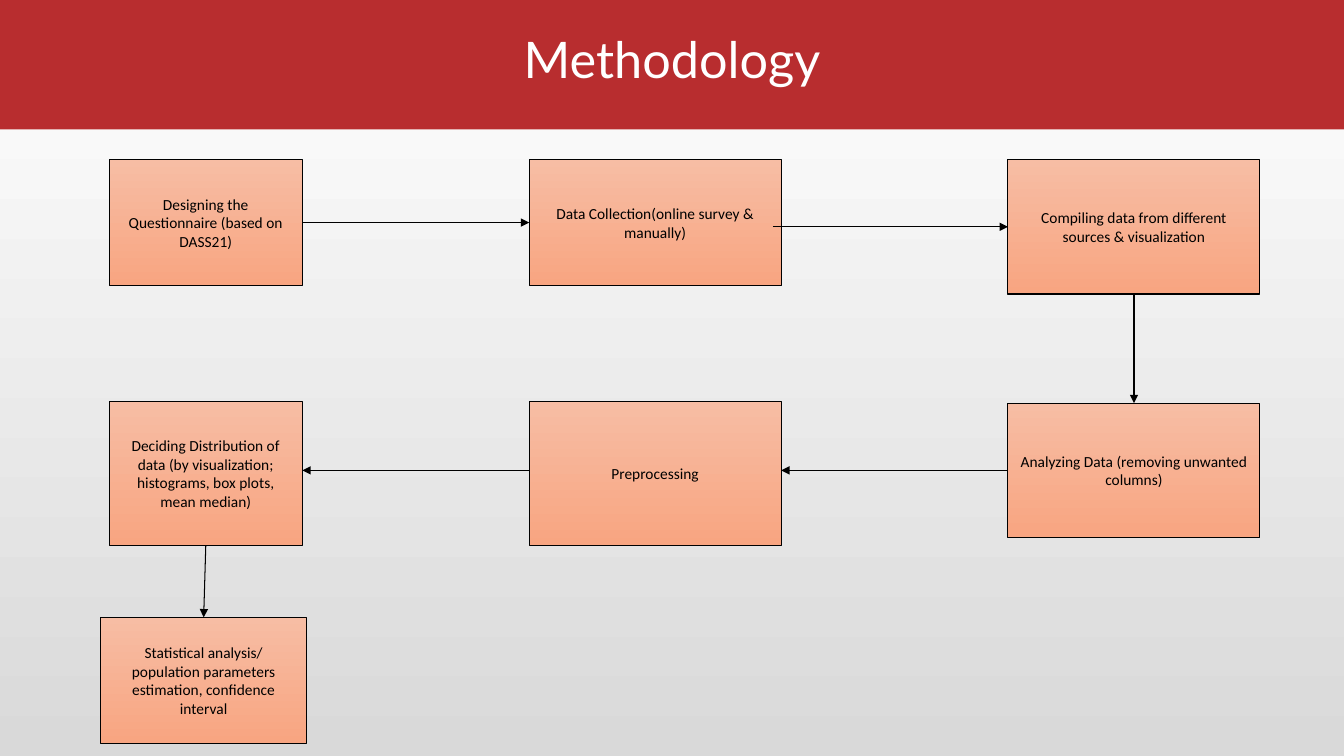
from dataclasses import dataclass

import lxml.etree
import pptx
import pptx.dml.color
import pptx.dml.fill
import pptx.enum.shapes
import pptx.enum.text
import pptx.oxml.ns
import pptx.slide
import pptx.text.text
import pptx.util

Pt = pptx.util.Pt
RGBColor = pptx.dml.color.RGBColor

BLACK = RGBColor(0x00, 0x00, 0x00)
WHITE = RGBColor(0xFF, 0xFF, 0xFF)
RED = RGBColor(0xB8, 0x2D, 0x2F)
GREY = RGBColor(0xD9, 0xD9, 0xD9)
PEACH = RGBColor(0xF7, 0xBD, 0xA4)
ORANGE = RGBColor(0xF8, 0xA5, 0x81)

LEFT, CENTRE, RIGHT = 78, 378, 720
NARROW, WIDE = 138, 180
TOP, MIDDLE, BOTTOM = 114, 286.5, 441


@dataclass
class Step:
    text: str
    left: float
    top: float
    width: float
    height: float


@dataclass
class Arrow:
    start_x: float
    start_y: float
    end_x: float
    end_y: float


STEPS = [
    Step("Designing the Questionnaire (based on DASS21)", LEFT, TOP, NARROW, 90),
    Step("Data Collection(online survey & manually)", CENTRE, TOP, WIDE, 90),
    Step("Compiling data from different sources & visualization", RIGHT, TOP, WIDE, 96),
    Step("Analyzing Data (removing unwanted columns)", RIGHT, 288, WIDE, 96),
    Step("Preprocessing", CENTRE, MIDDLE, WIDE, 103.5),
    Step("Deciding Distribution of data (by visualization; histograms, box plots, mean median)",
         LEFT, MIDDLE, NARROW, 103.5),
    Step("Statistical analysis/ population parameters estimation, confidence interval",
         72, BOTTOM, 147, 90),
]

ARROWS = [
    Arrow(LEFT + NARROW, 159, CENTRE, 159),
    Arrow(552, 162, RIGHT, 162),
    Arrow(RIGHT + WIDE / 2, TOP + 96, RIGHT + WIDE / 2, 288),
    Arrow(RIGHT, 336, CENTRE + WIDE, 336),
    Arrow(CENTRE, 336, LEFT + NARROW, 336),
    Arrow(LEFT + NARROW / 2, MIDDLE + 103.5, 145.5, BOTTOM),
]


def fill_gradient(fill: pptx.dml.fill.FillFormat, first: RGBColor, last: RGBColor,
                  angle: float) -> None:
    fill.gradient()
    fill.gradient_angle = angle
    for stop, color, position in zip(fill.gradient_stops, (first, last), (0, 1)):
        stop.color.rgb = color
        stop.position = position


def write_text(frame: pptx.text.text.TextFrame, text: str, font_name: str, size: float,
               color: RGBColor) -> None:
    frame.text = text
    frame.word_wrap = True
    frame.auto_size = pptx.enum.text.MSO_AUTO_SIZE.NONE
    frame.vertical_anchor = pptx.enum.text.MSO_ANCHOR.MIDDLE
    para = frame.paragraphs[0]
    para.alignment = pptx.enum.text.PP_ALIGN.CENTER
    span = para.runs[0]
    span.font.name = font_name
    span.font.size = Pt(size)
    span.font.color.rgb = color


def draw_title(page: pptx.slide.Slide) -> None:
    title = page.shapes.title
    title.left, title.top, title.width, title.height = Pt(0), Pt(-3.6), Pt(960), Pt(96)
    title.fill.solid()
    title.fill.fore_color.rgb = RED
    write_text(title.text_frame, "Methodology", "Lato", 36, WHITE)
    title.text_frame.paragraphs[0].line_spacing = 0.9


def draw_step(page: pptx.slide.Slide, step: Step) -> None:
    box = page.shapes.add_shape(
        pptx.enum.shapes.MSO_SHAPE.RECTANGLE,
        Pt(step.left), Pt(step.top), Pt(step.width), Pt(step.height))
    box.shadow.inherit = False
    fill_gradient(box.fill, PEACH, ORANGE, 270)
    box.line.color.rgb = BLACK
    box.line.width = Pt(0.75)
    write_text(box.text_frame, step.text, "Calibri", 11, BLACK)


def draw_arrow(page: pptx.slide.Slide, arrow: Arrow) -> None:
    connector = page.shapes.add_connector(
        pptx.enum.shapes.MSO_CONNECTOR.STRAIGHT,
        Pt(arrow.start_x), Pt(arrow.start_y), Pt(arrow.end_x), Pt(arrow.end_y))
    connector.line.color.rgb = BLACK
    connector.line.width = Pt(0.75)
    properties = connector.element.spPr
    outline = properties.find(pptx.oxml.ns.qn("a:ln"))
    lxml.etree.SubElement(outline, pptx.oxml.ns.qn("a:tailEnd"), type="triangle")
    lxml.etree.SubElement(properties, pptx.oxml.ns.qn("a:effectLst"))


def main() -> None:
    deck = pptx.Presentation()
    deck.slide_width, deck.slide_height = Pt(960), Pt(540)
    page = deck.slides.add_slide(deck.slide_layouts.get_by_name("Title Only"))
    fill_gradient(page.background.fill, GREY, WHITE, 90)
    draw_title(page)
    for step in STEPS:
        draw_step(page, step)
    for arrow in ARROWS:
        draw_arrow(page, arrow)
    deck.save("out.pptx")


if __name__ == "__main__":
    main()
